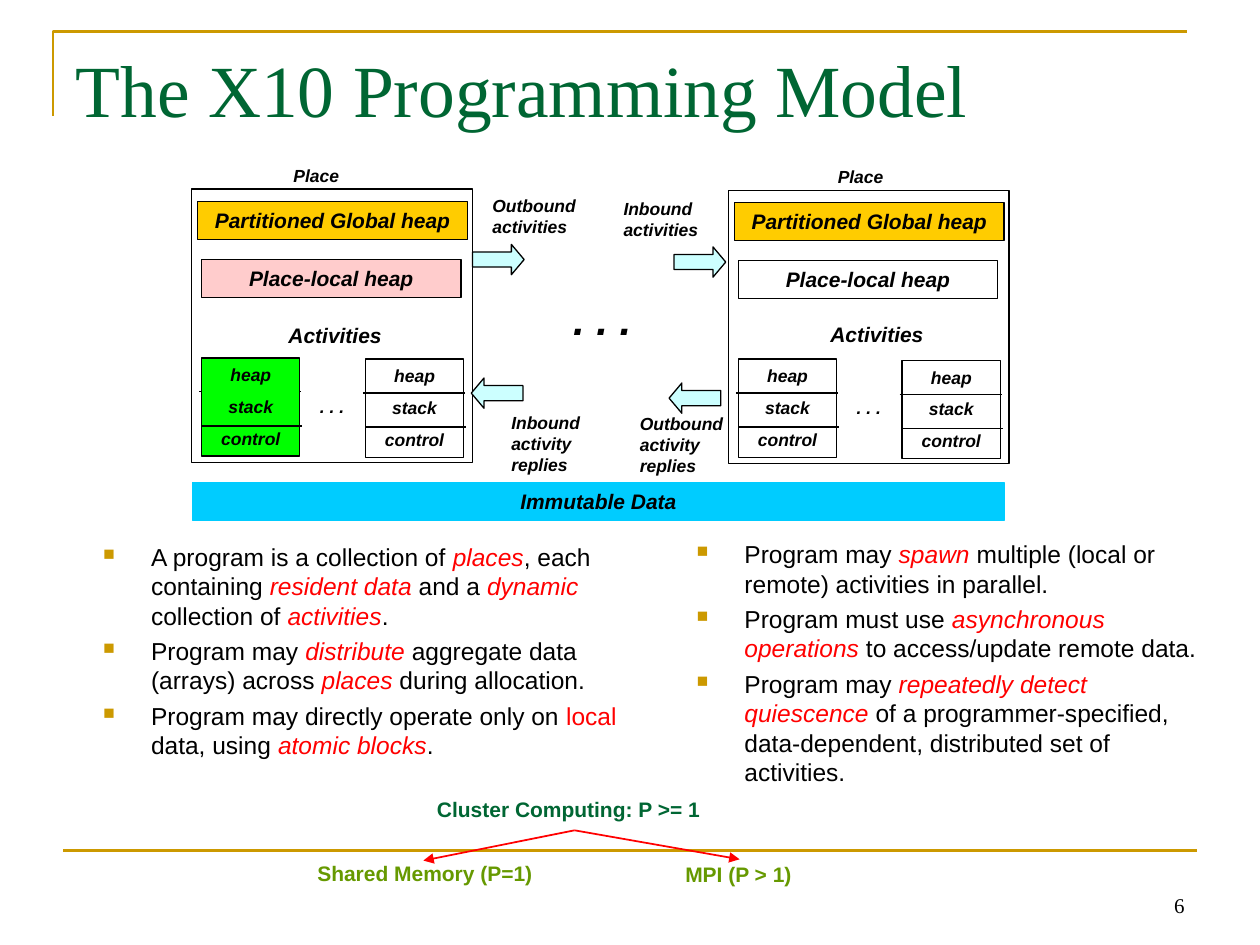
from lxml.etree import SubElement
from pptx import Presentation
from pptx.dml.color import RGBColor
from pptx.enum.shapes import MSO_CONNECTOR, MSO_SHAPE
from pptx.enum.text import MSO_ANCHOR, PP_ALIGN
from pptx.oxml.ns import qn
from pptx.util import Inches, Pt

BLACK, RED, GOLD, GREEN, OLIVE = "000000", "FF0000", "CC9900", "006633", "669900"
LABEL = {"size": 10, "bold": True, "italic": True}
HEADING = {"size": 12, "bold": True, "italic": True}
CENTER = PP_ALIGN.CENTER


def red(text, italic=True):
    return text, {"color": RED, "italic": italic}


BULLET_COLUMNS = [
    ((0.72, 4.25, 4.29, 1.83), [
        ["A program is a collection of ", red("places"), ", each containing ",
         red("resident data "), "and a ", red("dynamic"), " collection of ",
         red("activities"), "."],
        ["Program may ", red("distribute"), " aggregate data (arrays) across ",
         red("places"), " during allocation."],
        ["Program may directly operate only on ", red("local", italic=False),
         " data, using ", red("atomic blocks"), "."],
    ]),
    ((5.43, 4.23, 4.29, 2.06), [
        ["Program may", red(" spawn"),
         " multiple (local or remote) activities in parallel."],
        ["Program must use ", red("asynchronous operations"),
         " to access/update remote data."],
        ["Program may", red(" repeatedly detect quiescence"),
         " of a programmer-specified, data-dependent, distributed set of activities."],
    ]),
]
PLACES = [
    {"left": 1.52, "top": 1.5, "local": "FFCCCC", "stack": "00FF00",
     "name": (2.23, 1.26), "activities": (2.19, 2.51)},
    {"left": 5.78, "top": 1.51, "local": None, "stack": None,
     "name": (6.55, 1.27), "activities": (6.49, 2.5)},
]
STACK_ROWS = ["heap", "stack", "control"]
MESSAGES = [  # arrow position, rotation, label box, label paragraphs
    ((3.75, 1.94), 0, (3.81, 1.5, 1.11, 0.44), ["Outbound activities"]),
    ((5.35, 1.96), 0, (4.85, 1.52, 1.11, 0.44), ["Inbound activities"]),
    ((5.31, 3.04), 180, (4.98, 3.23, 0.9, 0.6), ["Outbound activity", "replies"]),
    ((3.74, 3), 180, (3.96, 3.22, 0.9, 0.6), ["Inbound activity replies"]),
]
MODELS = [
    ("Shared Memory (P=1)", (2.42, 6.78, 2.06, 0.3), OLIVE),
    ("MPI (P > 1)", (5.34, 6.79, 1.65, 0.3), OLIVE),
    ("Cluster Computing: P >= 1", (3.37, 6.27, 2.34, 0.3), GREEN),
]
MODEL_ROOT, MODEL_ENDS = (4.56, 6.59), [(3.36, 6.83), (5.87, 6.82)]


def rgb(color):
    return RGBColor.from_string(color)


def inches(values):
    return [Inches(value) for value in values]


def set_font(font, color=BLACK, name="Arial", **values):
    font.color.rgb = rgb(color)
    font.name = name
    for key, value in values.items():
        setattr(font, key, Pt(value) if key == "size" else value)


def add_bullet(paragraph):
    properties = paragraph._p.get_or_add_pPr()
    properties.set("marL", str(Inches(0.38)))
    properties.set("indent", str(-Inches(0.38)))
    color = SubElement(properties, qn("a:buClr"))
    SubElement(color, qn("a:srgbClr"), val=GOLD)
    SubElement(properties, qn("a:buSzPct"), val="65000")
    SubElement(properties, qn("a:buChar"), char="■")


def write(frame, paragraphs, align=PP_ALIGN.LEFT, gap=0, wrap=True,
          anchor=MSO_ANCHOR.TOP, bullets=False, **font):
    """Fill a frame; a paragraph is a string or a list of strings and (text, font) runs."""
    frame.word_wrap = wrap
    frame.vertical_anchor = anchor
    for index, runs in enumerate(paragraphs):
        paragraph = frame.paragraphs[0] if index == 0 else frame.add_paragraph()
        paragraph.alignment = align
        if index:
            paragraph.space_before = Pt(gap)
        if bullets:
            add_bullet(paragraph)
        for item in [runs] if isinstance(runs, str) else runs:
            text, changes = (item, {}) if isinstance(item, str) else item
            run = paragraph.add_run()
            run.text = text
            set_font(run.font, **{**font, **changes})


def add_text(box, paragraphs, **style):
    text_box = slide.shapes.add_textbox(*inches(box))
    write(text_box.text_frame, paragraphs, **style)


def paint(shape, fill=None, line=BLACK, width=0.75):
    shape.shadow.inherit = False
    if fill:
        shape.fill.solid()
        shape.fill.fore_color.rgb = rgb(fill)
    else:
        shape.fill.background()
    shape.line.color.rgb = rgb(line)
    shape.line.width = Pt(width)


def add_box(box, paragraphs=(), fill=None, line=BLACK, **style):
    shape = slide.shapes.add_shape(MSO_SHAPE.RECTANGLE, *inches(box))
    paint(shape, fill, line)
    write(shape.text_frame, paragraphs, align=CENTER, **style)


def add_line(start, end, color=BLACK, width=0.75, arrow=False):
    line = slide.shapes.add_connector(MSO_CONNECTOR.STRAIGHT, *inches(start + end))
    line.line.color.rgb = rgb(color)
    line.line.width = Pt(width)
    if arrow:
        SubElement(line.line._get_or_add_ln(), qn("a:tailEnd"), type="triangle")
    SubElement(line._element.spPr, qn("a:effectLst"))


def add_stack(left, top, fill):
    add_line((left - 0.02, top + 0.27), (left + 0.79, top + 0.27))
    add_box((left, top, 0.78, 0.78), STACK_ROWS, fill, gap=6.2, **LABEL)
    add_line((left, top + 0.54), (left + 0.8, top + 0.54))


def add_place(place):
    left, top = place["left"], place["top"]
    add_box((left, top, 2.23, 2.17))
    add_stack(left + 0.08, top + 1.34, place["stack"])
    add_stack(left + 1.38, top + 1.35, None)
    add_text((left + 0.92, top + 1.59, 0.39, 0.27), [". . ."],
             align=CENTER, wrap=False, **LABEL)
    add_box((left + 0.08, top + 0.56, 2.06, 0.3), ["Place-local heap"],
            place["local"], **HEADING)
    add_box((left + 0.05, top + 0.1, 2.14, 0.3), ["Partitioned Global heap"],
            "FFCC00", **HEADING)
    add_text(place["name"] + (0.56, 0.27), ["Place"], align=CENTER, wrap=False, **LABEL)
    add_text(place["activities"] + (0.94, 0.3), ["Activities"],
             align=CENTER, wrap=False, **HEADING)


presentation = Presentation()
presentation.slide_width, presentation.slide_height = Inches(10), Inches(7.5)
slide = presentation.slides.add_slide(presentation.slide_layouts[5])

title = slide.shapes.title
title.left, title.top, title.width, title.height = inches((0.5, 0.3, 9, 1.25))
write(title.text_frame, ["The X10 Programming Model"],
      size=42, color=GREEN, name="Times New Roman")

builder = slide.shapes.build_freeform(Inches(0.42), Inches(0.92))
builder.add_line_segments([inches((0.42, 0.25)), inches((9.42, 0.25))], close=False)
paint(builder.convert_to_shape(), line=GOLD, width=1.5)
add_line((0.5, 6.75), (9.5, 6.75), GOLD, 1.5)

for box, bullets in BULLET_COLUMNS:
    add_text(box, bullets, gap=3.5, bullets=True, size=14)

for text, box, color in MODELS:
    add_text(box, [text], size=12, bold=True, color=color)
for end in MODEL_ENDS:
    add_line(MODEL_ROOT, end, RED, 1, arrow=True)

for place in PLACES:
    add_place(place)

for position, rotation, label_box, label in MESSAGES:
    arrow = slide.shapes.add_shape(MSO_SHAPE.RIGHT_ARROW, *inches(position + (0.41, 0.24)))
    arrow.adjustments[1] = 0.42
    arrow.rotation = rotation
    paint(arrow, "CCFFFF")
    add_text(label_box, label, **LABEL)

add_text((4.45, 2.28, 0.66, 0.5), [". . ."], align=CENTER, wrap=False,
         size=24, bold=True, italic=True)
add_box((1.53, 3.83, 6.44, 0.3), ["Immutable Data"], "00CCFF", "00CCFF", **HEADING)
add_text((7.17, 6.83, 2.33, 0.5), ["6"], align=PP_ALIGN.RIGHT,
         anchor=MSO_ANCHOR.BOTTOM, size=12, name="Times New Roman")

presentation.save("out.pptx")
